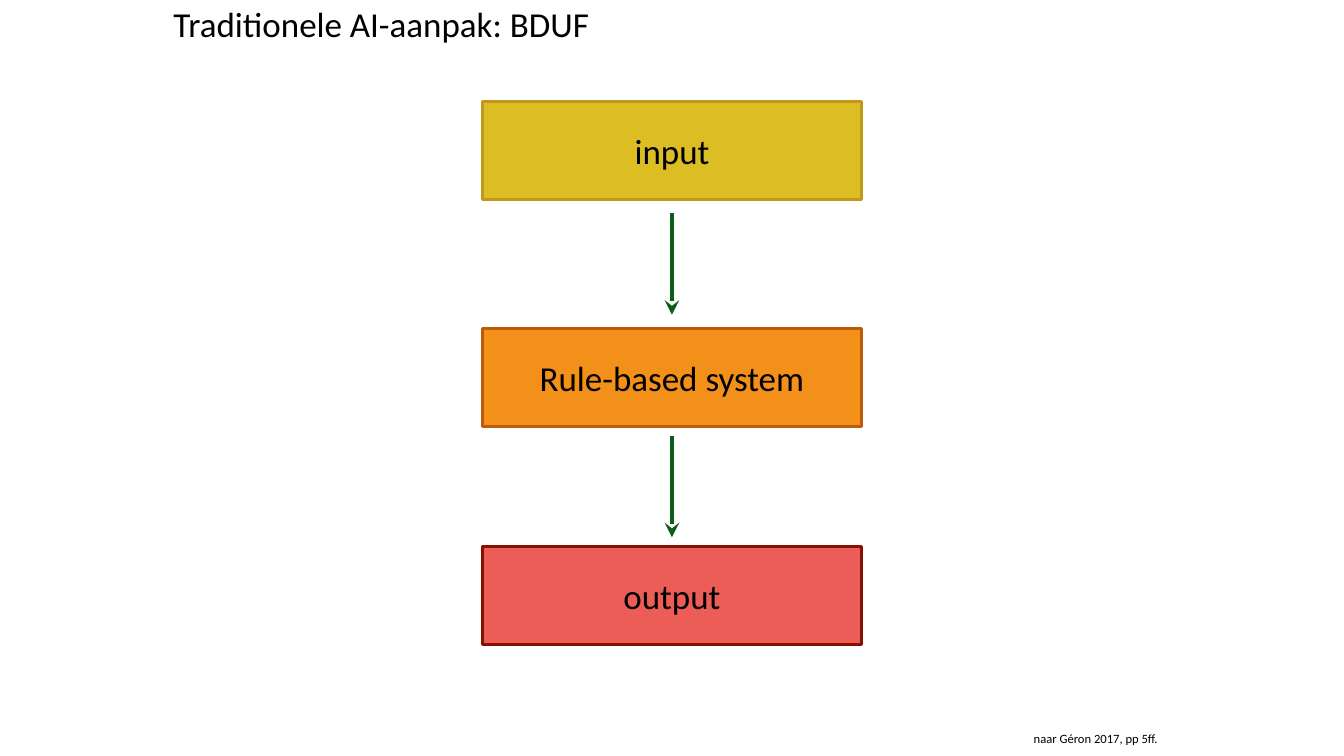
from dataclasses import dataclass
from itertools import pairwise

from lxml import etree
from pptx import Presentation
from pptx.dml.color import RGBColor
from pptx.enum.shapes import MSO_CONNECTOR, MSO_SHAPE
from pptx.enum.text import MSO_ANCHOR, MSO_AUTO_SIZE, PP_ALIGN
from pptx.oxml.ns import qn
from pptx.slide import Slide
from pptx.text.text import TextFrame
from pptx.util import Inches, Pt

SLIDE_WIDTH, SLIDE_HEIGHT = Inches(26.67), Inches(15)


@dataclass(frozen=True)
class Theme:
    font: str = "Calibri"
    text: str = "000000"
    arrow: str = "0B5D18"
    body_size: int = 50
    source_size: int = 18
    box_line: int = 4
    arrow_line: int = 7
    inset: float = 0.08


@dataclass(frozen=True)
class Step:
    label: str
    top: float
    fill: str
    line: str


@dataclass(frozen=True)
class Caption:
    text: str
    left: float
    top: float
    width: float
    height: float
    size: int


THEME = Theme()

# Positions and sizes are percentages of the slide's width and height.
CENTRE = 50
BOX_WIDTH, BOX_HEIGHT = 28.16, 13
ARROW_LENGTH = 13.4

STEPS = [
    Step("input", 13.4, "DCBD23", "C3971A"),
    Step("Rule-based system", 43.47, "F39019", "BD5B0C"),
    Step("output", 72.27, "EC5D57", "861001"),
]
CAPTIONS = [
    Caption("Traditionele AI-aanpak: BDUF", 12.6, 0.2, 31.57, 5.73, THEME.body_size),
    Caption("naar Géron 2017, pp 5ff.", 76.6, 96.27, 9.86, 2.8, THEME.source_size),
]


def across(share: float) -> int:
    return round(SLIDE_WIDTH * share / 100)


def down(share: float) -> int:
    return round(SLIDE_HEIGHT * share / 100)


def write(frame: TextFrame, text: str, size: int, wrap: bool) -> None:
    frame.text = text
    frame.word_wrap = wrap
    frame.vertical_anchor = MSO_ANCHOR.MIDDLE
    frame.margin_left = frame.margin_right = Inches(THEME.inset)
    frame.margin_top = frame.margin_bottom = Inches(THEME.inset)
    paragraph = frame.paragraphs[0]
    paragraph.alignment = PP_ALIGN.CENTER
    font = paragraph.runs[0].font
    font.name = THEME.font
    font.size = Pt(size)
    font.color.rgb = RGBColor.from_string(THEME.text)


def draw_step(slide: Slide, step: Step) -> None:
    shape = slide.shapes.add_shape(
        MSO_SHAPE.RECTANGLE,
        across(CENTRE - BOX_WIDTH / 2), down(step.top),
        across(BOX_WIDTH), down(BOX_HEIGHT),
    )
    shape.shadow.inherit = False
    shape.fill.solid()
    shape.fill.fore_color.rgb = RGBColor.from_string(step.fill)
    shape.line.color.rgb = RGBColor.from_string(step.line)
    shape.line.width = Pt(THEME.box_line)
    write(shape.text_frame, step.label, THEME.body_size, wrap=True)


def draw_arrow(slide: Slide, upper: Step, lower: Step) -> None:
    """Centre an arrow in the gap between two steps."""
    middle = (upper.top + BOX_HEIGHT + lower.top) / 2
    arrow = slide.shapes.add_connector(
        MSO_CONNECTOR.STRAIGHT,
        across(CENTRE), down(middle - ARROW_LENGTH / 2),
        across(CENTRE), down(middle + ARROW_LENGTH / 2),
    )
    arrow.line.color.rgb = RGBColor.from_string(THEME.arrow)
    arrow.line.width = Pt(THEME.arrow_line)
    etree.SubElement(arrow.line._get_or_add_ln(), qn("a:tailEnd"), type="stealth")
    etree.SubElement(arrow._element.spPr, qn("a:effectLst"))


def draw_caption(slide: Slide, caption: Caption) -> None:
    box = slide.shapes.add_textbox(
        across(caption.left), down(caption.top),
        across(caption.width), down(caption.height),
    )
    write(box.text_frame, caption.text, caption.size, wrap=False)
    box.text_frame.auto_size = MSO_AUTO_SIZE.SHAPE_TO_FIT_TEXT


def main() -> None:
    presentation = Presentation()
    presentation.slide_width, presentation.slide_height = SLIDE_WIDTH, SLIDE_HEIGHT
    slide = presentation.slides.add_slide(presentation.slide_layouts[6])
    for step in STEPS:
        draw_step(slide, step)
    for upper, lower in pairwise(STEPS):
        draw_arrow(slide, upper, lower)
    for caption in CAPTIONS:
        draw_caption(slide, caption)
    presentation.save("out.pptx")


if __name__ == "__main__":
    main()
